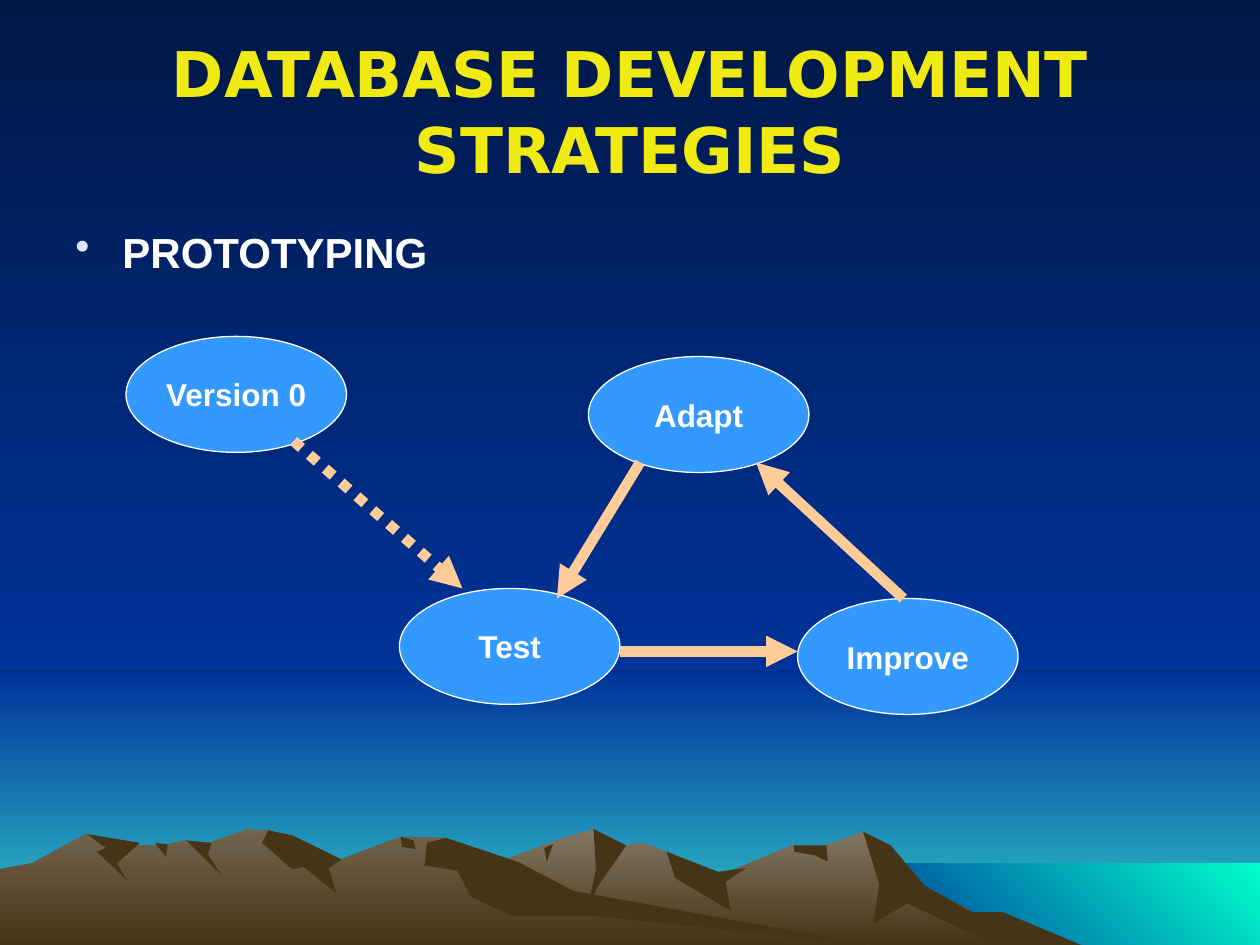
from lxml.etree import SubElement
from pptx import Presentation
from pptx.dml.color import RGBColor
from pptx.enum.dml import MSO_LINE
from pptx.enum.shapes import MSO_CONNECTOR, MSO_SHAPE
from pptx.enum.text import MSO_ANCHOR, PP_ALIGN
from pptx.oxml.ns import qn
from pptx.util import Cm, Pt

TITLE = "DATABASE DEVELOPMENT STRATEGIES"
BULLET = "PROTOTYPING"
STEPS = {"Version 0": (1, 2.67), "Test": (3.17, 4.67),
         "Adapt": (4.67, 2.83), "Improve": (6.33, 4.75)}
STEP_SIZE = (1.75, 0.92)
ARROWS = [((5.08, 3.67), (4.42, 4.75), None),
          ((4.92, 5.17), (6.33, 5.17), None),
          ((7.17, 4.75), (6, 3.67), None),
          ((2.33, 3.5), (3.67, 4.67), MSO_LINE.ROUND_DOT)]

WHITE, YELLOW, LILAC = "FFFFFF", "EFEA12", "E3E3FF"
BLUE, PEACH, SHADE = "3399FF", "FFCC99", "463416"
WIDTH, HEIGHT, HORIZON, SHORE = 10, 7.5, 5.33, (6.83, 6.85)
SKY = ("001746", "003399", 90)
PANELS = [((0, HORIZON), HEIGHT, ("003399", "33CCCC", 90)),
          ((0, 0), HORIZON, SKY),
          (SHORE, HEIGHT, ("00FFCC", "003399", 135))]

FAR_RIDGE = [(2.58, 7.5), (3.27, 7.09), (3.94, 6.85), (4.5, 6.64), (4.71, 6.58),
             (4.86, 6.73), (5.09, 6.69), (5.29, 6.76), (5.36, 6.9), (5.66, 6.97),
             (6.29, 6.71), (6.56, 6.71), (6.85, 6.6), (7.23, 6.98), (8.21, 7.5)]
NEAR_RIDGE = [(0, 7.5), (0, 6.9), (0.26, 6.85), (0.68, 6.62), (0.94, 6.71), (1.28, 6.71),
              (1.48, 6.67), (1.6, 6.71), (1.96, 6.58), (2.15, 6.59), (2.36, 6.81),
              (2.71, 6.82), (3.18, 6.64), (3.54, 6.65), (4.32, 7.12), (6.9, 7.5)]
FAR_SHADOWS = [
    [(6.85, 6.6), (7.07, 6.71), (7.34, 7.03), (7.71, 7.24), (7.96, 7.24), (8.58, 7.5),
     (7.9, 7.5), (7.2, 7.17), (6.93, 7.33), (6.98, 7.02)],
    [(4.71, 6.58), (4.97, 6.71), (4.74, 7.04), (4.65, 7.27), (4.73, 6.9)],
    [(5.29, 6.76), (5.7, 6.92), (5.92, 6.89), (5.76, 7), (5.8, 7.23), (5.36, 6.97)],
    [(6.3, 6.71), (6.56, 6.71), (6.57, 6.84), (6.47, 6.79), (6.3, 6.76)],
    [(4.32, 6.73), (4.39, 6.7), (4.34, 6.84)],
]
NEAR_SHADOWS = [
    [(2.13, 6.59), (2.32, 6.63), (2.71, 6.82), (2.61, 6.89), (2.67, 7.09), (2.41, 6.88),
     (2.32, 6.9), (2.08, 6.69)],
    [(3.39, 6.69), (3.54, 6.65), (4.11, 6.84), (4.55, 7.07), (6.9, 7.5), (4.72, 7.27),
     (4.07, 7.27), (3.74, 7.12), (3.63, 6.91), (3.37, 6.87)],
    [(3.18, 6.64), (3.28, 6.67), (3.3, 6.74), (3.19, 6.72)],
    [(1.48, 6.67), (1.68, 6.69), (1.65, 6.78), (1.76, 6.95)],
    [(1.23, 6.69), (1.33, 6.7), (1.32, 6.8)],
    [(0.69, 6.62), (1.11, 6.69), (0.93, 6.85), (1, 6.98), (0.77, 6.76), (0.84, 6.73)],
]
RANGES = [(FAR_RIDGE, "837763", FAR_SHADOWS), (NEAR_RIDGE, "72644E", NEAR_SHADOWS)]


def inches(*values):
    return [Cm(value * 2.54) for value in values]


def color(code):
    return RGBColor.from_string(code)


def paint(fill, style):
    if isinstance(style, str):
        fill.solid()
        fill.fore_color.rgb = color(style)
        return
    *codes, angle = style
    fill.gradient()
    fill.gradient_angle = 360 - angle
    for stop, code in zip(fill.gradient_stops, codes):
        stop.color.rgb = color(code)


def style_shape(shape, style):
    shape.shadow.inherit = False
    paint(shape.fill, style)
    shape.line.fill.background()


def write(shape, text, size, code, name="Arial", align=PP_ALIGN.CENTER,
          anchor=MSO_ANCHOR.MIDDLE, wrap=True):
    frame = shape.text_frame
    frame.text = text
    frame.word_wrap = wrap
    frame.vertical_anchor = anchor
    para = frame.paragraphs[0]
    para.alignment = align
    para.font.size, para.font.bold, para.font.name = Pt(size), True, name
    para.font.color.rgb = color(code)
    return para


def draw_outline(page, points, style):
    start, *rest = [inches(*point) for point in points]
    builder = page.shapes.build_freeform(*start)
    builder.add_line_segments(rest, close=True)
    style_shape(builder.convert_to_shape(), style)


def draw_landscape(page):
    for (left, top), bottom, style in PANELS:
        box = inches(left, top, WIDTH - left, bottom - top)
        style_shape(page.shapes.add_shape(MSO_SHAPE.RECTANGLE, *box), style)
    for ridge, light, shadows in RANGES:
        draw_outline(page, ridge, (light, SHADE, 90))
        for shadow in shadows:
            draw_outline(page, shadow, SHADE)


def add_heading(page):
    title = page.shapes.title
    page.shapes._spTree.append(title._element)
    title.left, title.top, title.width, title.height = inches(0.5, 0.25, 9, 1.25)
    write(title, TITLE, 36, YELLOW, "DejaVu Sans")


def add_bullet(page):
    box = page.shapes.add_textbox(*inches(0.5, 1.75, 9, 4.92))
    para = write(box, BULLET, 24, WHITE, align=PP_ALIGN.LEFT, anchor=MSO_ANCHOR.TOP)
    para.space_before = Pt(6)
    properties = para._p.get_or_add_pPr()
    indent = Cm(0.95)
    properties.set("marL", str(indent))
    properties.set("indent", str(-indent))
    SubElement(SubElement(properties, qn("a:buClr")), qn("a:srgbClr"), val=LILAC)
    SubElement(properties, qn("a:buChar"), char="•")
    properties.append(properties.find(qn("a:defRPr")))


def add_step(page, name, place):
    oval = page.shapes.add_shape(MSO_SHAPE.OVAL, *inches(*place, *STEP_SIZE))
    style_shape(oval, BLUE)
    paint(oval.line.fill, WHITE)
    oval.line.width = Pt(0.75)
    write(oval, name, 18, WHITE, wrap=False)


def add_arrow(page, start, end, dash):
    arrow = page.shapes.add_connector(MSO_CONNECTOR.STRAIGHT, *inches(*start, *end))
    arrow.line.width = Pt(6)
    paint(arrow.line.fill, PEACH)
    if dash:
        arrow.line.dash_style = dash
    SubElement(arrow.line._get_or_add_ln(), qn("a:tailEnd"), type="triangle")
    SubElement(arrow._element.spPr, qn("a:effectLst"))


def main():
    """Build the prototyping slide and save it."""
    deck = Presentation()
    deck.slide_width, deck.slide_height = inches(WIDTH, HEIGHT)
    page = deck.slides.add_slide(deck.slide_layouts[5])
    paint(page.background.fill, SKY)
    draw_landscape(page)
    add_heading(page)
    add_bullet(page)
    for name, place in STEPS.items():
        add_step(page, name, place)
    for start, end, dash in ARROWS:
        add_arrow(page, start, end, dash)
    deck.save("out.pptx")


if __name__ == "__main__":
    main()
